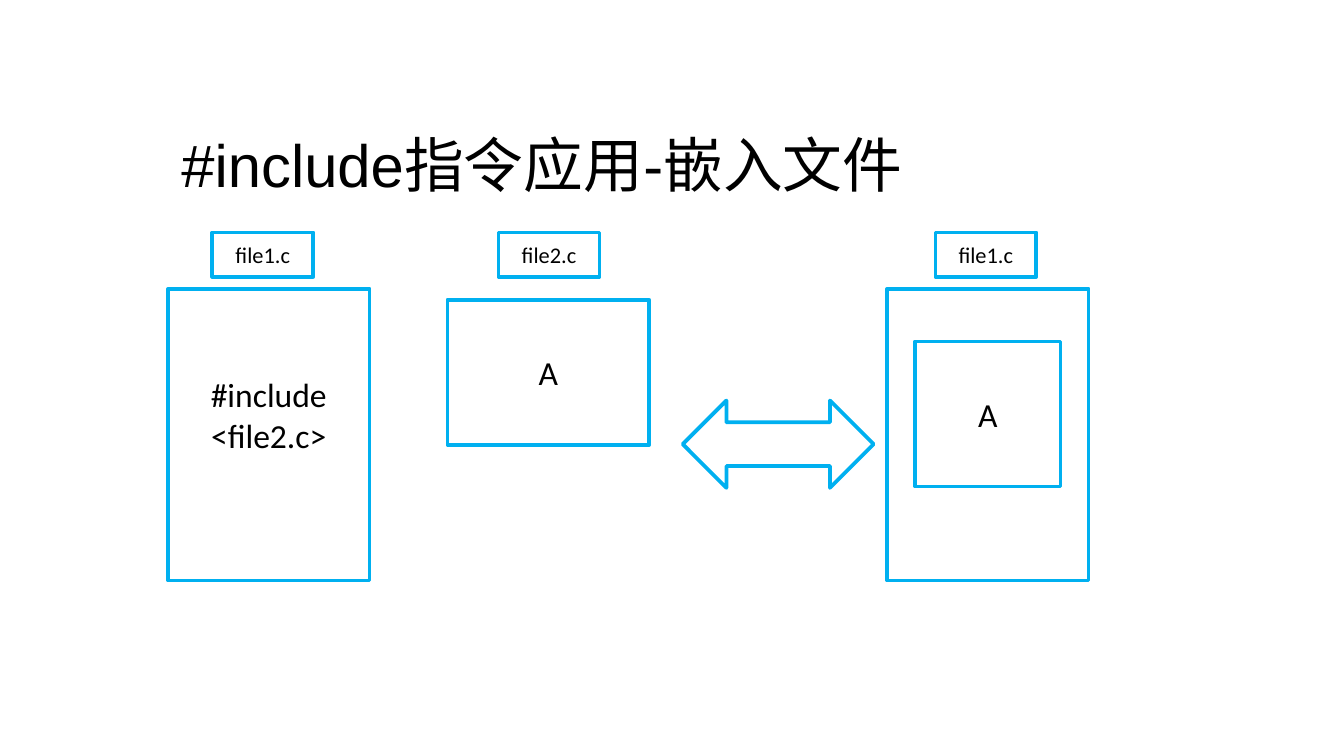
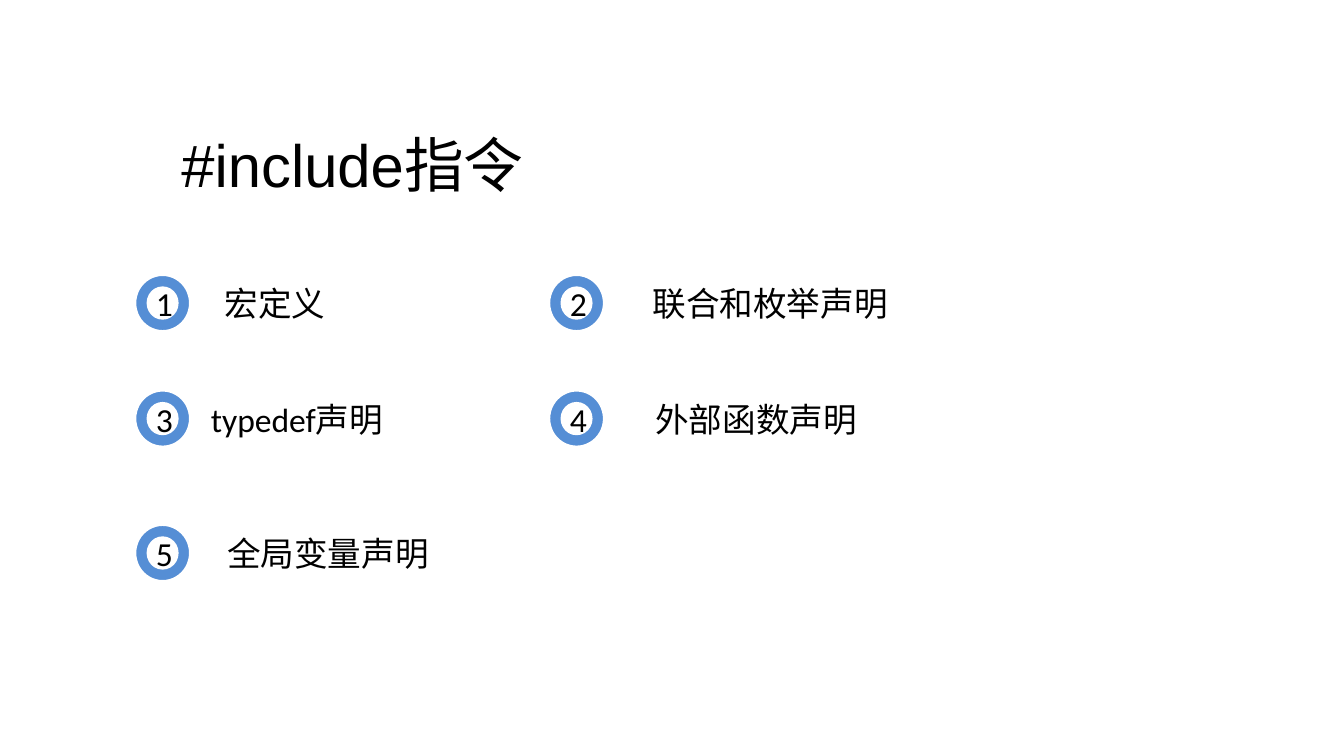
"""Build two slides about the #include directive."""
from pptx import Presentation
from pptx.dml.color import RGBColor
from pptx.enum.shapes import MSO_SHAPE
from pptx.enum.text import MSO_ANCHOR, MSO_AUTO_SIZE, PP_ALIGN
from pptx.util import Inches, Pt

PROCESS = MSO_SHAPE.FLOWCHART_PROCESS
DONUT = MSO_SHAPE.DONUT
DOUBLE_ARROW = MSO_SHAPE.LEFT_RIGHT_ARROW
TOP, MIDDLE = MSO_ANCHOR.TOP, MSO_ANCHOR.MIDDLE
LEFT, CENTER = PP_ALIGN.LEFT, PP_ALIGN.CENTER
NO_AUTOFIT = MSO_AUTO_SIZE.NONE

BLACK = RGBColor(0x00, 0x00, 0x00)
WHITE = RGBColor(0xFF, 0xFF, 0xFF)
CYAN = RGBColor(0x00, 0xB0, 0xF0)
BLUE = RGBColor(0x55, 0x8E, 0xD5)

presentation = Presentation()
presentation.slide_width = Inches(10)
presentation.slide_height = Inches(10 * 9 / 16)


def add_titled_slide(title):
    slide = presentation.slides.add_slide(presentation.slide_layouts[5])
    shape = slide.shapes.title
    shape.left, shape.top = Inches(1.25), Inches(0.9)
    shape.width, shape.height = Inches(6.08), Inches(0.67)
    frame = shape.text_frame
    frame.text = title
    frame.auto_size = NO_AUTOFIT
    frame.vertical_anchor = TOP
    paragraph = frame.paragraphs[0]
    paragraph.alignment = LEFT
    font = paragraph.runs[0].font
    font.name, font.size, font.color.rgb = "Arial", Pt(32), BLACK
    return slide


def add_figure(shapes, kind, box, text="", size=18, fill=WHITE, line=CYAN):
    shape = shapes.add_shape(kind, *[Inches(length) for length in box])
    shape.shadow.inherit = False
    shape.fill.solid()
    shape.fill.fore_color.rgb = fill
    shape.line.color.rgb = line
    shape.line.width = Pt(2)
    if text:
        shape.text_frame.text = text
        shape.text_frame.vertical_anchor = MIDDLE
        for paragraph in shape.text_frame.paragraphs:
            paragraph.alignment = CENTER
            font = paragraph.runs[0].font
            font.name, font.size, font.color.rgb = "Calibri", Pt(size), BLACK
    return shape


slide = add_titled_slide("#include指令应用-嵌入文件")
add_figure(slide.shapes, DOUBLE_ARROW, (5.08, 2.98, 1.42, 0.65))

files = [
    ("file1.c", 1.58, [((1.25, 2.15, 1.5, 2.17), "#include\n<file2.c>")]),
    ("file2.c", 3.71, [((3.33, 2.23, 1.5, 1.08), "A")]),
    ("file1.c", 6.96, [((6.6, 2.15, 1.5, 2.17), ""), ((6.81, 2.54, 1.08, 1.08), "A")]),
]
for name, label_left, boxes in files:
    group = slide.shapes.add_group_shape()
    for box, text in boxes:
        content = add_figure(group.shapes, PROCESS, box, text)
        if text.startswith("#include"):
            content.text_frame.margin_bottom = Inches(0.35)
    add_figure(group.shapes, PROCESS, (label_left, 1.73, 0.75, 0.33), name, 12)

slide = add_titled_slide("#include指令")
column_lefts = [1, 4.08]
row_tops = [2.04, 2.9, 3.9]
topics = [
    ("宏定义", 1.42, 1.25),
    ("联合和枚举声明", 4.29, 2.88),
    ("typedef声明", 1.42, 1.58),
    ("外部函数声明", 4.5, 2.25),
    ("全局变量声明", 1.42, 2.04),
]
for index, (topic, left, width) in enumerate(topics):
    row, column = divmod(index, 2)
    top = row_tops[row]
    group = slide.shapes.add_group_shape()
    add_figure(group.shapes, PROCESS, (left, top, width, 0.43), topic, line=WHITE)
    add_figure(group.shapes, DONUT, (column_lefts[column], top, 0.42, 0.43),
               str(index + 1), fill=BLUE, line=WHITE)

presentation.save("out.pptx")
